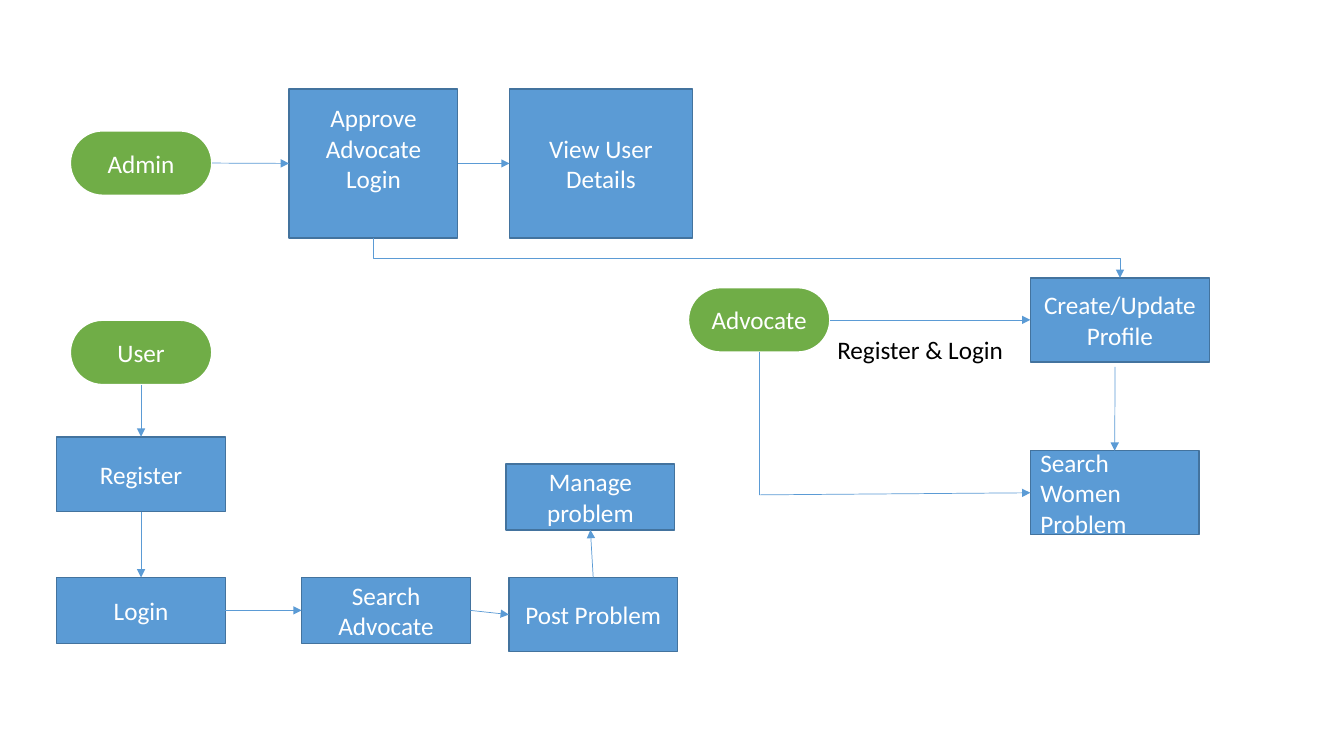
from lxml.etree import SubElement
from pptx import Presentation
from pptx.dml.color import RGBColor
from pptx.enum.shapes import MSO_CONNECTOR, MSO_SHAPE
from pptx.enum.text import MSO_ANCHOR, PP_ALIGN
from pptx.oxml.ns import qn
from pptx.util import Pt

COLORS = {"step": "5B9BD5", "edge": "43739E", "actor": "70AD47",
          "white": "FFFFFF", "black": "000000"}
TOP, LEFT, BOTTOM, RIGHT = range(4)  # connection sites
STEP_W = 120.5


def rgb(name):
    return RGBColor.from_string(COLORS[name])


def write(sp, text, color, align):
    p = sp.text_frame.paragraphs[0]
    p.text = text
    p.alignment = align
    font = p.runs[0].font
    font.name, font.size = "Calibri", Pt(18)
    font.color.rgb = rgb(color)


def add_node(s, kind, text, box, fill, edge, weight, align=PP_ALIGN.CENTER):
    sp = s.shapes.add_shape(kind, *map(Pt, box))
    sp.shadow.inherit = False
    sp.fill.solid()
    sp.fill.fore_color.rgb = rgb(fill)
    sp.line.color.rgb = rgb(edge)
    sp.line.width = Pt(weight)
    sp.text_frame.word_wrap = True
    sp.text_frame.vertical_anchor = MSO_ANCHOR.MIDDLE
    write(sp, text, "white", align)
    return sp


def add_actor(s, text, x, y):
    sp = add_node(s, MSO_SHAPE.ROUNDED_RECTANGLE, text, (x, y, 101.5, 46.5),
                  "actor", "white", 1.5)
    sp.adjustments[0] = 0.5
    return sp


def add_step(s, text, x, y, w, h, align=PP_ALIGN.CENTER):
    return add_node(s, MSO_SHAPE.RECTANGLE, text, (x, y, w, h),
                    "step", "edge", 1, align)


def add_line(s, x1, y1, x2, y2, kind=MSO_CONNECTOR.STRAIGHT, arrow=True):
    line = s.shapes.add_connector(kind, *map(Pt, (x1, y1, x2, y2)))
    line.line.color.rgb = rgb("step")
    line.line.width = Pt(0.5)
    if arrow:
        SubElement(line.line._get_or_add_ln(), qn("a:tailEnd"), type="triangle")
    SubElement(line._element.spPr, qn("a:effectLst"))
    return line


def link(s, start, start_site, end, end_site):
    """Draw an arrow glued to two nodes."""
    line = add_line(s, 0, 0, 0, 0)
    line.begin_connect(start, start_site)
    line.end_connect(end, end_site)


def link_down(s, start, end):
    """Draw a down-across-down arrow from one node to a lower one."""
    x1, y1 = start.left + start.width / 2, start.top + start.height
    x2, y2 = end.left + end.width / 2, end.top
    cx, cy = (x1 + x2) / 2 / Pt(1), (y1 + y2) / 2 / Pt(1)
    half_w, half_h = (y2 - y1) / 2 / Pt(1), (x2 - x1) / 2 / Pt(1)
    # The elbow runs sideways first, so it is laid out turned by 270 degrees.
    line = add_line(s, cx + half_w, cy - half_h, cx - half_w, cy + half_h,
                    MSO_CONNECTOR.ELBOW)
    line._element.spPr.find(qn("a:xfrm")).set("rot", str(270 * 60000))


def admin_flow(s, x, y):
    admin = add_actor(s, "Admin", x, y + 29.75)
    approve = add_step(s, "Approve Advocate Login", x + 156.5, y, STEP_W, 106.5)
    approve.text_frame.margin_bottom = Pt(25.6)
    view = add_step(s, "View User Details", x + 314, y, 130.5, 106.5)
    link(s, admin, RIGHT, approve, LEFT)
    link(s, approve, RIGHT, view, LEFT)
    return approve


def user_flow(s, x, y):
    row = y + 184
    user = add_actor(s, "User", x + 9.5, y)
    register = add_step(s, "Register", x, y + 83.5, STEP_W, 53.5)
    login = add_step(s, "Login", x, row, STEP_W, 47)
    search = add_step(s, "Search Advocate", x + 175, row, STEP_W, 47)
    post = add_step(s, "Post Problem", x + 323, row, STEP_W, 53)
    manage = add_step(s, "Manage problem", x + 321, y + 103, STEP_W, 47)
    link(s, user, BOTTOM, register, TOP)
    link(s, register, BOTTOM, login, TOP)
    link(s, login, RIGHT, search, LEFT)
    link(s, search, RIGHT, post, LEFT)
    link(s, post, TOP, manage, BOTTOM)


def advocate_flow(s, x, y):
    steps_x = x + 244.5
    advocate = add_actor(s, "Advocate", x, y + 6.75)
    profile = add_step(s, "Create/Update Profile", steps_x, y, 128, 60)
    search = add_step(s, "Search Women Problem", steps_x, y + 123.5, STEP_W, 60,
                      PP_ALIGN.LEFT)
    link(s, advocate, RIGHT, profile, LEFT)
    add_line(s, x + 305, y + 63.5, x + 304.75, y + 123.5)
    corner = x + 50.75, y + 155
    add_line(s, corner[0], y + 53.25, *corner, arrow=False)
    add_line(s, *corner, steps_x, y + 153.5)

    label = s.shapes.add_textbox(Pt(x + 99.5), Pt(y + 37), Pt(138), Pt(29))
    label.text_frame.word_wrap = False
    write(label, "Register & Login", "black", PP_ALIGN.LEFT)
    return profile


def main():
    prs = Presentation()
    prs.slide_width, prs.slide_height = Pt(960), Pt(540)
    s = prs.slides.add_slide(prs.slide_layouts[6])
    approve = admin_flow(s, 50, 63.5)
    user_flow(s, 40.5, 228.5)
    profile = advocate_flow(s, 491.5, 198.5)
    link_down(s, approve, profile)
    prs.save("out.pptx")


if __name__ == "__main__":
    main()
